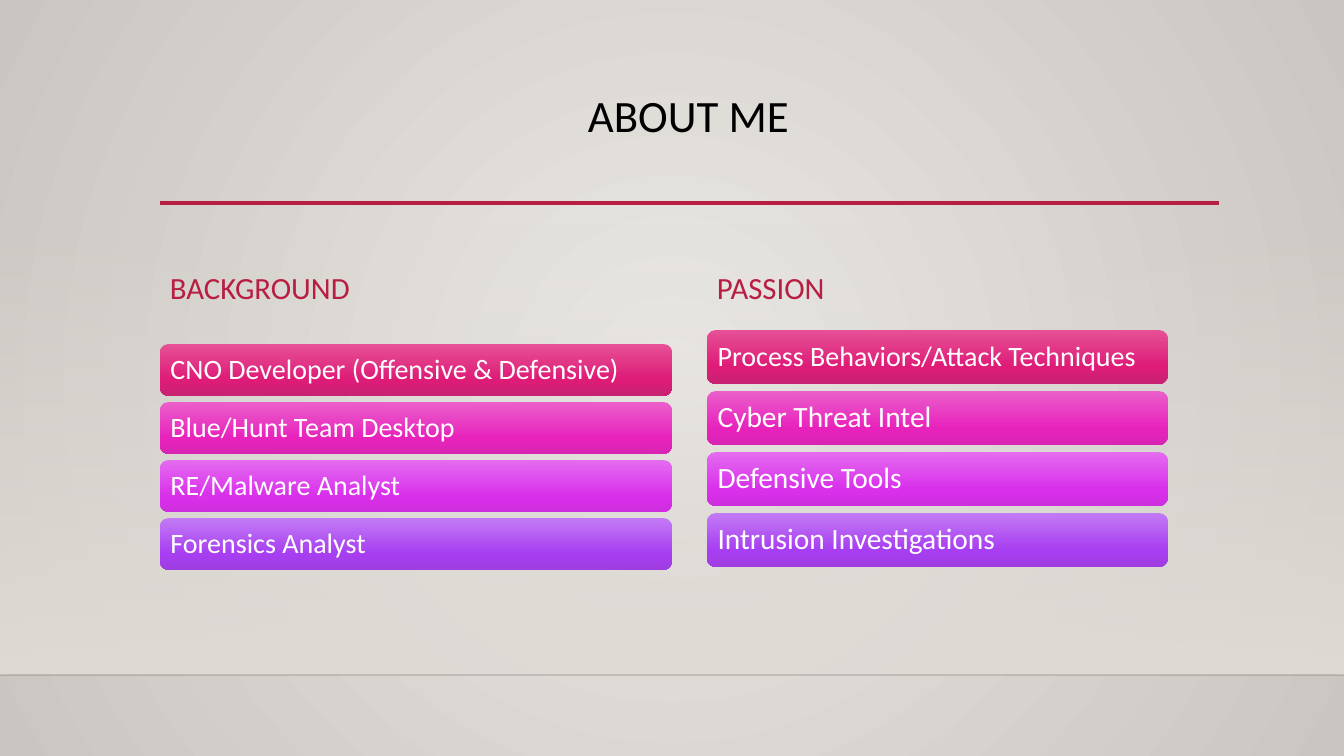
import pptx
import pptx.dml.color
import pptx.enum.shapes
import pptx.enum.text
import pptx.oxml
import pptx.oxml.ns
import pptx.util

PX = 914400 / 100.8
FONT = "Calibri"
CRIMSON = "B71E42"
PANEL = "DFDBD5"
ALIGN = pptx.enum.text.PP_ALIGN
ANCHOR = pptx.enum.text.MSO_ANCHOR
SHAPE = pptx.enum.shapes.MSO_SHAPE

# Each bar: colours at 0, 69 and 100 percent, from top to bottom
BAR_COLOURS = [
    ("E65196", "DE1B77", "C82372"),
    ("EB5FCB", "E723BC", "D824B2"),
    ("E46CF0", "D930EB", "CD2EDE"),
    ("C37BF5", "A73EF1", "9F3DE1"),
]
BACKGROUND = [
    ("CNO Developer (Offensive & Defensive)", 20),
    ("Blue/Hunt Team Desktop", 20),
    ("RE/Malware Analyst", 20),
    ("Forensics Analyst", 20),
]
PASSION = [
    ("Process Behaviors/Attack Techniques", 20),
    ("Cyber Threat Intel", 21),
    ("Defensive Tools", 21),
    ("Intrusion Investigations", 21),
]


def px(length):
    return pptx.util.Emu(round(length * PX))


def colour(value):
    return pptx.dml.color.RGBColor.from_string(value)


def set_all(target, values):
    for name, value in values.items():
        setattr(target, name, value)


def set_alpha(element, percent):
    """Make the solid colour inside an element partly transparent."""
    rgb = element.find(".//" + pptx.oxml.ns.qn("a:srgbClr"))
    alpha = rgb.makeelement(pptx.oxml.ns.qn("a:alpha"), {"val": str(percent * 1000)})
    rgb.append(alpha)


def set_gradient(fill, holder, stops, direction='<a:lin ang="5400000" scaled="0"/>'):
    """Fill with stops of (percent, colour, opacity)."""
    fill.solid()
    marks = "".join(
        f'<a:gs pos="{place * 1000}"><a:srgbClr val="{value}">'
        f'<a:alpha val="{opacity * 1000}"/></a:srgbClr></a:gs>'
        for place, value, opacity in stops
    )
    gradient = pptx.oxml.parse_xml(
        f'<a:gradFill {pptx.oxml.ns.nsdecls("a")} rotWithShape="1">'
        f"<a:gsLst>{marks}</a:gsLst>{direction}</a:gradFill>"
    )
    solid = holder.find(pptx.oxml.ns.qn("a:solidFill"))
    holder.replace(solid, gradient)


def write_text(shape, text, size, value, anchor, align=ALIGN.LEFT,
               spacing=1.0, side=10, edge=5):
    frame = shape.text_frame
    set_all(frame, {
        "word_wrap": True, "vertical_anchor": anchor,
        "margin_left": px(side), "margin_right": px(side),
        "margin_top": px(edge), "margin_bottom": px(edge),
    })
    para = frame.paragraphs[0]
    set_all(para, {"alignment": align, "line_spacing": spacing})
    span = para.add_run()
    span.text = text
    set_all(span.font, {"name": FONT, "size": pptx.util.Pt(size)})
    span.font.color.rgb = colour(value)


def add_text(page, left, top, width, height, *words, **options):
    box = page.shapes.add_textbox(px(left), px(top), px(width), px(height))
    write_text(box, *words, **options)


def add_gradient_shape(page, kind, left, top, width, height, stops):
    shape = page.shapes.add_shape(kind, px(left), px(top), px(width), px(height))
    shape.shadow.inherit = False
    shape.line.fill.background()
    set_gradient(shape.fill, shape.element.spPr, stops)
    return shape


def add_rule(page, left, right, top, value, weight):
    rule = page.shapes.add_connector(
        pptx.enum.shapes.MSO_CONNECTOR.STRAIGHT, px(left), px(top), px(right), px(top))
    rule.line.color.rgb = colour(value)
    rule.line.width = pptx.util.Pt(weight)
    properties = rule.element.spPr
    properties.append(properties.makeelement(pptx.oxml.ns.qn("a:effectLst"), {}))
    return rule


def add_column(page, heading, entries, left, top, width, height, step):
    add_text(page, left, 223, 512, 88, heading, 22, CRIMSON, ANCHOR.BOTTOM)
    for row, ((text, size), shades) in enumerate(zip(entries, BAR_COLOURS)):
        stops = [(place, shade, 100) for place, shade in zip((0, 69, 100), shades)]
        bar = add_gradient_shape(page, SHAPE.ROUNDED_RECTANGLE, left, top + row * step,
                                 width, height, stops)
        write_text(bar, text, size, "FFFFFF", ANCHOR.MIDDLE, spacing=0.9, side=8)


def add_backdrop(page):
    centre = '<a:path path="circle"><a:fillToRect l="50000" t="50000" r="50000" b="50000"/></a:path>'
    fill = page.background.fill
    fill.solid()
    holder = page.element.find(".//" + pptx.oxml.ns.qn("p:bgPr"))
    set_gradient(fill, holder, [(0, "EBE9E6", 100), (100, "C9C5C0", 100)], centre)
    add_gradient_shape(page, SHAPE.RECTANGLE, 0, 223, 1344, 452,
                       [(0, PANEL, 0), (100, PANEL, 100)])
    floor = add_rule(page, 0, 1344, 675, "000001", 1)
    set_alpha(floor.element.spPr, 20)


def main():
    deck = pptx.Presentation()
    set_all(deck, {"slide_width": px(1344), "slide_height": px(756)})
    page = deck.slides.add_slide(deck.slide_layouts[6])

    # Backdrop
    add_backdrop(page)

    # Title
    add_rule(page, 160, 1219, 203, CRIMSON, 2.5)
    add_text(page, 159, 89, 1059, 117, "ABOUT ME", 32, "000000", ANCHOR.TOP,
             align=ALIGN.CENTER, spacing=0.9)

    # Two columns of bars
    add_column(page, "BACKGROUND", BACKGROUND, 160, 344, 512, 52, 58)
    add_column(page, "PASSION", PASSION, 707, 330, 461, 54, 61)

    deck.save("out.pptx")


if __name__ == "__main__":
    main()
